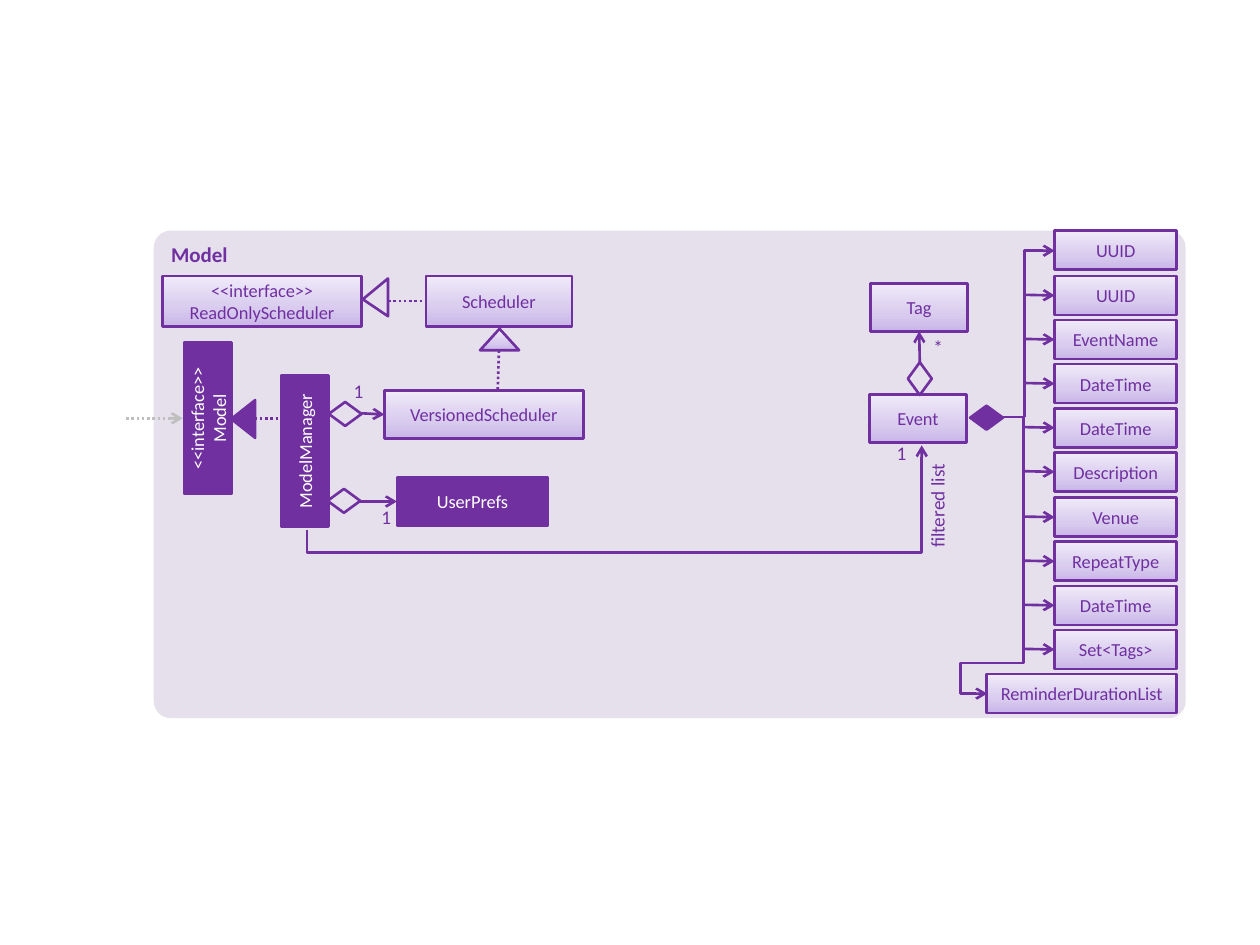
from copy import deepcopy

from lxml import etree
from pptx import Presentation
from pptx.dml.color import RGBColor
from pptx.enum.dml import MSO_LINE
from pptx.enum.shapes import MSO_CONNECTOR, MSO_SHAPE
from pptx.enum.text import MSO_ANCHOR, PP_ALIGN
from pptx.oxml.ns import qn
from pptx.util import Emu, Pt

PX = 9144
FONT = "Calibri"
PURPLE = RGBColor(0x70, 0x30, 0xA0)
PANEL = RGBColor(0xE6, 0xE0, 0xEC)
WHITE = RGBColor(0xFF, 0xFF, 0xFF)
GREY = RGBColor(0xBF, 0xBF, 0xBF)
FADE = (
    (0, RGBColor(0xC9, 0xB5, 0xE8)),
    (0.35, RGBColor(0xD8, 0xCB, 0xEE)),
    (1, RGBColor(0xF0, 0xEA, 0xF9)),
)
RECT = MSO_SHAPE.RECTANGLE
ROUND = MSO_SHAPE.ROUNDED_RECTANGLE
TRI = MSO_SHAPE.ISOSCELES_TRIANGLE
GEM = MSO_SHAPE.FLOWCHART_DECISION
LINE = MSO_CONNECTOR.STRAIGHT
ELBOW = MSO_CONNECTOR.ELBOW
DOTS = MSO_LINE.ROUND_DOT
MID, TOP = MSO_ANCHOR.MIDDLE, MSO_ANCHOR.TOP
LEFT, CENTER, RIGHT = PP_ALIGN.LEFT, PP_ALIGN.CENTER, PP_ALIGN.RIGHT
UP = 270
LEFT_SIDE, BOTTOM = 1, 2
FIELDS = (
    "UUID", "UUID", "EventName", "DateTime", "DateTime", "Description",
    "Venue", "RepeatType", "DateTime", "Set<Tags>", "ReminderDurationList",
)


def scale(*px):
    """Turn px lengths into EMU."""
    return [Emu(n * PX) for n in px]


def write(shape, text, size, color, align=CENTER, anchor=MID, bold=False):
    """Fill a shape with paragraphs (newline) and line breaks (vertical tab)."""
    frame = shape.text_frame
    frame.word_wrap = True
    frame.vertical_anchor = anchor
    for i, block in enumerate(text.split("\n")):
        para = frame.add_paragraph() if i else frame.paragraphs[0]
        para.alignment = align
        for j, part in enumerate(block.split("\v")):
            if j:
                para.add_line_break()
            run = para.add_run()
            run.text = part
            font = run.font
            font.name, font.size, font.bold = FONT, Pt(size), bold
            font.color.rgb = color


def shade(shape):
    """Give a shape the three-stop lilac gradient."""
    fill = shape.fill
    fill.gradient()
    fill.gradient_angle = 90
    stops = shape._element.spPr.find(".//" + qn("a:gsLst"))
    stops.append(deepcopy(stops[0]))
    for stop, (place, color) in zip(fill.gradient_stops, FADE):
        stop.position = place
        stop.color.rgb = color


def draw(slide, kind, box, fill=None, turn=0, edge=PURPLE):
    """Add a preset shape with a solid, faded or empty fill."""
    shape = slide.shapes.add_shape(kind, *scale(*box))
    shape.shadow.inherit = False
    shape.rotation = turn
    if fill is None:
        shape.fill.background()
    elif fill is FADE:
        shade(shape)
    else:
        shape.fill.solid()
        shape.fill.fore_color.rgb = fill
    if edge is None:
        shape.line.fill.background()
    else:
        shape.line.color.rgb = edge
        shape.line.width = Pt(1.5)
    return shape


def node(slide, text, box, fill=FADE, turn=0):
    """Add a class box."""
    shape = draw(slide, RECT, box, fill, turn)
    write(shape, text, 10.5, PURPLE if fill is FADE else WHITE)
    return shape


def label(slide, text, box, turn=0, align=CENTER, inset=True):
    """Add a small label, with or without text insets."""
    shape = slide.shapes.add_textbox(*scale(*box))
    shape.rotation = turn
    if not inset:
        frame = shape.text_frame
        frame.margin_left = frame.margin_right = 0
        frame.margin_top = frame.margin_bottom = 0
    write(shape, text, 11, PURPLE, align, TOP)


def link(slide, ends, head=True, dots=False, color=PURPLE, kind=LINE):
    """Add a connector, with an open arrowhead at its end if asked."""
    wire = slide.shapes.add_connector(kind, *scale(*ends))
    wire.line.color.rgb = color
    wire.line.width = Pt(1.5)
    if dots:
        wire.line.dash_style = DOTS
    if head:
        tip = etree.SubElement(wire.line._get_or_add_ln(), qn("a:tailEnd"))
        tip.set("type", "arrow")
    etree.SubElement(wire._element.spPr, qn("a:effectLst"))
    return wire


def elbow(slide, ends, bends):
    """Add a bent connector turned by 90 degrees, with its bend ratios."""
    wire = link(slide, ends, kind=ELBOW)
    props = wire._element.spPr
    props.find(qn("a:xfrm")).set("rot", "5400000")
    geom = props.find(qn("a:prstGeom"))
    geom.set("prst", f"bentConnector{len(bends) + 2}")
    guides = geom.find(qn("a:avLst"))
    for i, bend in enumerate(bends, 1):
        guide = etree.SubElement(guides, qn("a:gd"))
        guide.set("name", f"adj{i}")
        guide.set("fmla", f"val {round(bend * 100000)}")


def stores(slide):
    """Draw the manager side: interfaces, schedulers and preferences."""
    prefs = node(slide, "UserPrefs", (315, 379, 120, 38), PURPLE)
    node(slide, "ModelManager", (182, 339, 120, 38), PURPLE, UP)
    node(slide, "<<interface>>\nModel", (105, 313, 120, 38), PURPLE, UP)
    draw(slide, TRI, (178, 323, 30, 19), PURPLE, UP)
    link(slide, (100, 332, 145, 332), dots=True, color=GREY)
    link(slide, (202, 332, 226, 332), head=False, dots=True)
    store = node(slide, "VersionedScheduler", (305, 310, 158, 38))
    for end, start in ((prefs, (285, 398)), (store, (287, 328))):
        link(slide, (*start, *start)).end_connect(end, LEFT_SIDE)
    for box in ((260, 388, 26, 19), (261, 319, 26, 19)):
        draw(slide, GEM, box)
    link(slide, (396, 278, 395, 310), head=False, dots=True)
    draw(slide, TRI, (381, 261, 31, 17), FADE)
    node(slide, "<<interface>>\vReadOnlyScheduler", (129, 219, 158, 40))
    sched = node(slide, "Scheduler", (338, 219, 116, 40))
    tri = draw(slide, TRI, (283, 226, 30, 20), PANEL, UP)
    tri.adjustments[0] = 0.45
    wire = link(slide, (308, 239, 338, 239), head=False, dots=True)
    wire.end_connect(sched, LEFT_SIDE)


def events(slide):
    """Draw the event, its tag and the filtered list."""
    elbow(slide, (521, 631, 454, 143), (-0.27,))
    node(slide, "Event", (690, 313, 77, 38))
    draw(slide, GEM, (770, 322, 26, 19), PURPLE)
    draw(slide, GEM, (717, 291, 26, 19), turn=UP)
    tag = node(slide, "Tag", (691, 225, 77, 38))
    link(slide, (730, 288, 730, 263)).end_connect(tag, BOTTOM)
    label(slide, "filtered list", (696, 392, 96, 29), UP, RIGHT)
    for text, box in (
        ("1", (280, 301, 9, 21)), ("1", (296, 401, 21, 20)),
        ("1", (705, 350, 21, 20)), ("*", (734, 266, 21, 20)),
    ):
        label(slide, text, box, inset=False)


def fields(slide):
    """Draw the column of event fields and the spine that feeds it."""
    last = len(FIELDS) - 1
    for i, name in enumerate(FIELDS):
        top = round(183.4 + 35.2 * i)
        left = 783 if i == last else 837
        box = node(slide, name, (left, top, 934 - left, 31))
        if 0 < i < last:
            wire = link(slide, (813, top + 15, 837, top + 15))
            wire.end_connect(box, LEFT_SIDE)
    link(slide, (795, 331, 813, 331), head=False)
    elbow(slide, (891, 277, 759, 253), ())
    elbow(slide, (688, 426, 908, 455), (0.89, 1.73))


def main():
    """Build the class diagram and save it."""
    deck = Presentation()
    deck.slide_width, deck.slide_height = scale(1000, 750)
    slide = deck.slides.add_slide(deck.slide_layouts[6])
    panel = draw(slide, ROUND, (122, 183, 819, 387), PANEL, edge=None)
    panel.adjustments[0] = 0.035
    write(panel, "Model", 12, PURPLE, LEFT, TOP, True)
    stores(slide)
    events(slide)
    fields(slide)
    deck.save("out.pptx")


if __name__ == "__main__":
    main()
